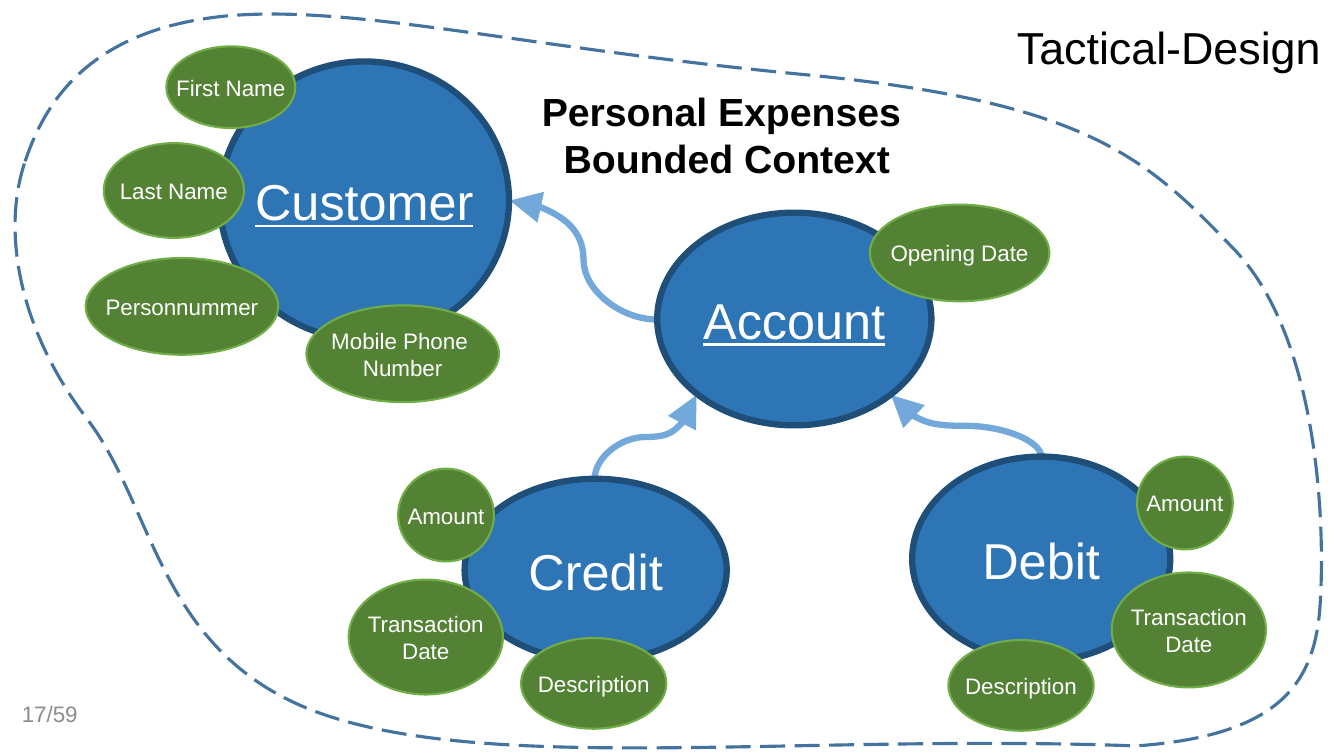
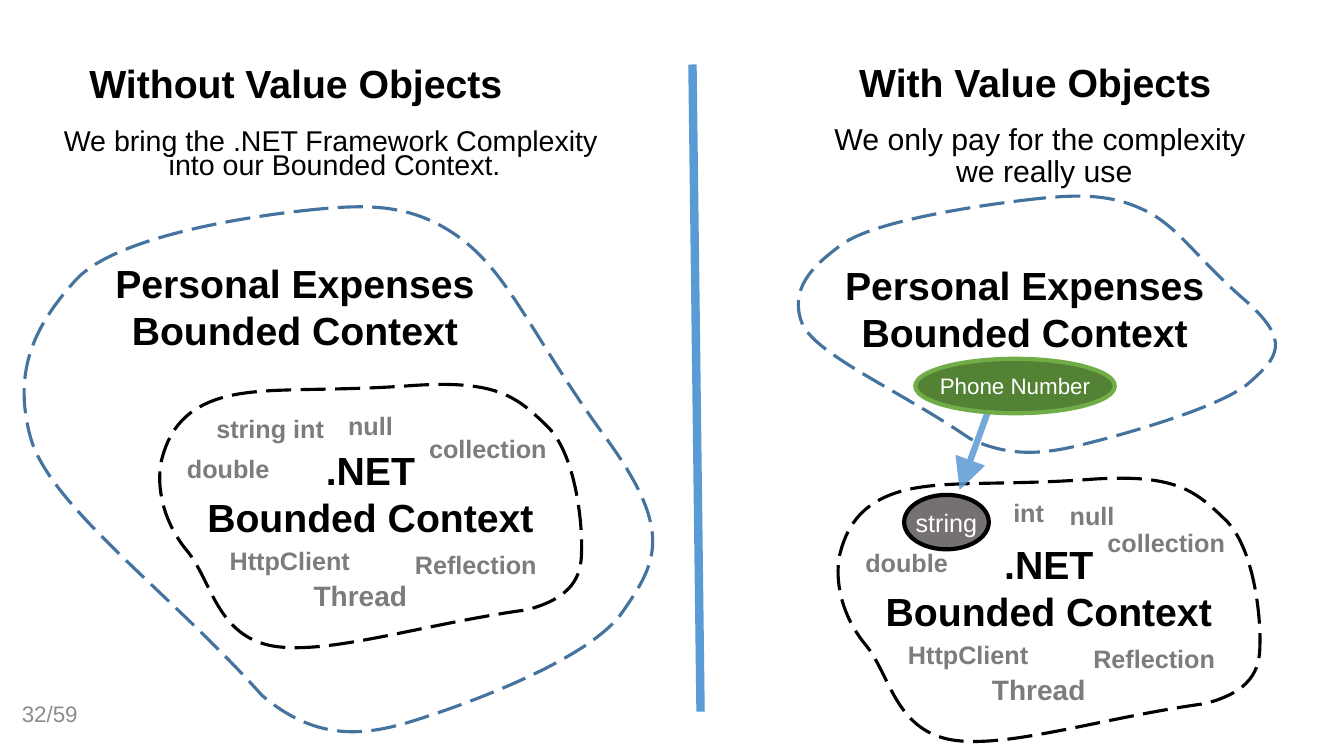
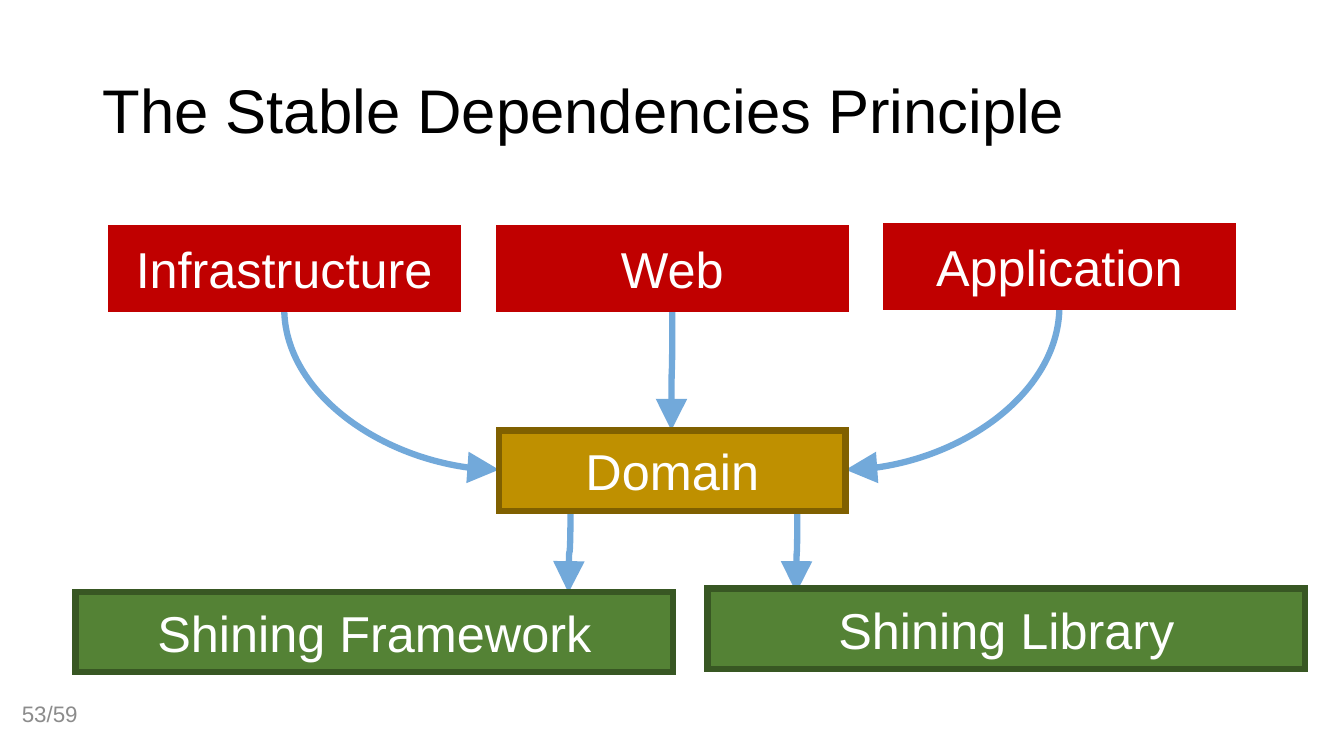
import lxml.etree
import pptx
import pptx.dml.color
import pptx.enum.dml
import pptx.enum.shapes
import pptx.enum.text
import pptx.oxml.ns
import pptx.util

PX = 9144  # EMU per px, 100 px to the inch
FONT = "Arial"
TOTAL = 59
COLORS = {
    "black": "000000", "white": "FFFFFF", "footer": "8C8C8C", "word": "7C7C7C",
    "arrow": "5B9BD5", "context": "43739E",
    "blue": "2E75B6", "blue_edge": "1F4E79",
    "green": "548235", "green_edge": "70AD47", "green_dark": "385723",
    "gray": "767171", "red": "C00000", "gold": "BF9000", "gold_edge": "806000",
}
SHAPE = pptx.enum.shapes.MSO_SHAPE
CONNECTOR = pptx.enum.shapes.MSO_CONNECTOR
ALIGN = pptx.enum.text.PP_ALIGN
ANCHOR = pptx.enum.text.MSO_ANCHOR
AUTO_SIZE = pptx.enum.text.MSO_AUTO_SIZE
qn = pptx.oxml.ns.qn

# Outlines: a start point, then three points for each Bezier curve
EXPENSES = [
    (25, 160), (47, 94), (95, 29), (223, 16), (351, 4), (516, 47), (798, 74),
    (1080, 101), (1138, 157), (1226, 249), (1313, 342), (1315, 541), (1309, 609),
    (1302, 678), (1269, 730), (1127, 740), (802, 728), (504, 766), (331, 712),
    (157, 658), (156, 506), (86, 415), (17, 324), (2, 227), (25, 160)]
EXPENSES_WIDE = [
    (301, 209), (365, 202), (410, 201), (459, 238), (507, 275), (530, 337), (600, 433),
    (670, 528), (651, 559), (617, 608), (582, 657), (451, 703), (404, 717),
    (356, 731), (311, 733), (260, 690), (167, 586), (48, 501), (30, 433),
    (12, 366), (36, 321), (75, 278), (113, 236), (237, 216), (301, 209)]
EXPENSES_SMALL = [
    (1013, 199), (1062, 193), (1097, 191), (1132, 207), (1168, 223), (1183, 252), (1233, 296),
    (1283, 339), (1267, 355), (1239, 380), (1210, 405), (1108, 433), (1070, 442),
    (1033, 451), (999, 453), (962, 435), (894, 388), (806, 351), (795, 319),
    (784, 287), (804, 265), (836, 242), (867, 220), (963, 205), (1013, 199)]
NET = [
    (160, 458), (166, 433), (179, 407), (219, 395), (259, 383), (313, 389), (403, 383),
    (492, 376), (512, 393), (542, 422), (572, 450), (578, 522), (577, 547),
    (577, 572), (568, 593), (523, 605), (420, 619), (327, 650), (271, 641),
    (215, 631), (210, 576), (186, 547), (162, 518), (155, 484), (160, 458)]


def px(n):
    return pptx.util.Emu(round(n * PX))


def rgb(name):
    return pptx.dml.color.RGBColor.from_string(COLORS[name])


def set_line(line, color, width):
    line.color.rgb = rgb(color)
    line.width = pptx.util.Pt(width)


def add_miter(line):
    lxml.etree.SubElement(line._get_or_add_ln(), qn("a:miter"), lim="800000")


def write(tf, text, size, color, align, bold=False, underline=False, spacing=None):
    """Write one paragraph, with a line break at each newline."""
    p = tf.paragraphs[0]
    p.alignment = align
    if spacing:
        p.line_spacing = spacing
    for i, part in enumerate(text.split("\n")):
        if i:
            p.add_line_break()
        r = p.add_run()
        r.text = part
        r.font.name = FONT
        r.font.size = pptx.util.Pt(size)
        r.font.bold = bold
        r.font.underline = underline
        r.font.color.rgb = rgb(color)


def text_box(slide, box, text, size, color="black", align=ALIGN.CENTER, bold=False,
             wrap=False, anchor=ANCHOR.TOP, spacing=None):
    tf = slide.shapes.add_textbox(*map(px, box)).text_frame
    tf.word_wrap = wrap
    tf.auto_size = AUTO_SIZE.NONE if wrap else AUTO_SIZE.SHAPE_TO_FIT_TEXT
    tf.vertical_anchor = anchor
    write(tf, text, size, color, align, bold, spacing=spacing)


def shape(slide, kind, box, text, size, fill, edge, width, underline=False):
    sp = slide.shapes.add_shape(kind, *map(px, box))
    sp.shadow.inherit = False
    sp.fill.solid()
    sp.fill.fore_color.rgb = rgb(fill)
    set_line(sp.line, edge, width)
    add_miter(sp.line)
    tf = sp.text_frame
    tf.word_wrap = False
    tf.vertical_anchor = ANCHOR.MIDDLE
    write(tf, text, size, "white", ALIGN.CENTER, underline=underline)


def entity(slide, box, text, underline=False):
    shape(slide, SHAPE.OVAL, box, text, 36, "blue", "blue_edge", 4.5, underline)


def attribute(slide, box, text, width=1.5):
    shape(slide, SHAPE.OVAL, box, text, 16, "green", "green_edge", width)


def block(slide, box, text, fill, edge):
    shape(slide, SHAPE.RECTANGLE, box, text, 36, fill, edge, 4.5)


def outline(slide, points, color, dx=0, dy=0):
    """Draw a dashed closed outline, turning each three segments into a Bezier curve."""
    pts = [(px(x + dx), px(y + dy)) for x, y in points]
    builder = slide.shapes.build_freeform(*pts[0])
    builder.add_line_segments(pts[1:], close=True)
    sp = builder.convert_to_shape()
    segments = list(sp._element.iter(qn("a:lnTo")))
    for i in range(0, len(segments), 3):
        curve = lxml.etree.Element(qn("a:cubicBezTo"))
        segments[i].addprevious(curve)
        for segment in segments[i:i + 3]:
            curve.append(segment[0])
            segment.getparent().remove(segment)
    sp.shadow.inherit = False
    sp.fill.background()
    set_line(sp.line, color, 2.25)
    sp.line.dash_style = pptx.enum.dml.MSO_LINE.LONG_DASH
    add_miter(sp.line)


def line(slide, start, end, width=4.5, kind=CONNECTOR.STRAIGHT):
    cx = slide.shapes.add_connector(kind, *map(px, (*start, *end)))
    set_line(cx.line, "arrow", width)
    add_miter(cx.line)
    lxml.etree.SubElement(cx._element.spPr, qn("a:effectLst"))
    return cx


def arrow(slide, start, end, kind=CONNECTOR.STRAIGHT):
    cx = line(slide, start, end, kind=kind)
    ln = cx.line._get_or_add_ln()
    lxml.etree.SubElement(next(ln.iter(qn("a:srgbClr"))), qn("a:alpha"), val="85000")
    lxml.etree.SubElement(ln, qn("a:tailEnd"), type="triangle", w="lg", len="lg")
    return cx


def curve_down_or_up(slide, start, end, preset="curvedConnector3"):
    """Draw a curved arrow that leaves its start vertically, by turning it."""
    (x1, y1), (x2, y2) = start, end
    w, h = abs(y2 - y1), abs(x2 - x1)
    left, top = (x1 + x2 - w) / 2, (y1 + y2 - h) / 2
    cx = arrow(slide, (left, top), (left + w, top + h), CONNECTOR.CURVE)
    spPr = cx._element.spPr
    spPr.find(qn("a:prstGeom")).set("prst", preset)
    xfrm = spPr.find(qn("a:xfrm"))
    down = y2 > y1
    xfrm.set("rot", str((90 if down else 270) * 60000))
    if down == (x2 > x1):
        xfrm.set("flipV", "1")


def new_slide(prs):
    return prs.slides.add_slide(prs.slide_layouts[6])


def page_number(slide, number):
    text_box(slide, (11, 688, 76, 40), f"{number}/{TOTAL}", 16, "footer", ALIGN.RIGHT,
             wrap=True, anchor=ANCHOR.MIDDLE)


def word(slide, x, y, w, text):
    text_box(slide, (x, y, w, 40), text, 18, "word", bold=True)


def net_context(slide, dx=0, dy=0):
    outline(slide, NET, "black", dx, dy)
    text_box(slide, (149 + dx, 438 + dy, 437, 104), ".NET\nBounded Context", 28,
             bold=True, wrap=True)
    text_box(slide, (139 + dx, 569 + dy, 437, 44), "Thread", 20, "word", bold=True, wrap=True)
    for x, y, w, text in [(401, 540, 142, "Reflection"), (175, 445, 103, "double"),
                          (415, 425, 138, "collection"), (217, 536, 141, "HttpClient")]:
        word(slide, x + dx, y + dy, w, text)


def tactical_design(prs):
    s = new_slide(prs)
    # Relations
    curve_down_or_up(s, (1033, 453), (884, 392))
    curve_down_or_up(s, (590, 475), (691, 392))
    arrow(s, (652, 317), (506, 199), CONNECTOR.CURVE)
    outline(s, EXPENSES, "context")
    # Entities
    entity(s, (218, 61, 287, 276), "Customer", True)
    entity(s, (652, 211, 272, 211), "Account", True)
    entity(s, (461, 475, 260, 181), "Credit")
    entity(s, (905, 453, 256, 203), "Debit")
    # Attributes
    for box, text in [((165, 46, 128, 81), "First Name"),
                      ((103, 142, 139, 94), "Last Name"),
                      ((85, 256, 191, 96), "Personnummer"),
                      ((304, 303, 191, 96), "Mobile Phone \nNumber"),
                      ((863, 203, 178, 96), "Opening Date")]:
        attribute(s, box, text)
    for amount, date, description in [((395, 465), (346, 575), (517, 633)),
                                      ((1128, 453), (1103, 568), (941, 635))]:
        attribute(s, (*amount, 95, 92), "Amount")
        attribute(s, (*date, 153, 114), "Transaction\nDate")
        attribute(s, (*description, 144, 90), "Description")
    # Headings
    text_box(s, (999, 15, 324, 64), "Tactical-Design", 32, align=ALIGN.LEFT)
    text_box(s, (525, 82, 392, 104), "Personal Expenses \nBounded Context", 28, bold=True)
    page_number(s, 17)


def value_objects(prs):
    s = new_slide(prs)
    # Contexts, with the arrow between the two on the right
    net_context(s, 673, 93)
    word(s, 995, 488, 51, "int")
    word(s, 1051, 491, 65, "null")
    arrow(s, (981, 406), (952, 486))
    outline(s, EXPENSES_WIDE, "context")
    net_context(s)
    word(s, 204, 405, 128, "string int")
    word(s, 335, 402, 65, "null")
    outline(s, EXPENSES_SMALL, "context")
    for x, y in [(102, 252), (826, 254)]:
        text_box(s, (x, y, 381, 104), "Personal Expenses\nBounded Context", 28, bold=True)
    # Value object and the type it wraps
    shape(s, SHAPE.OVAL, (897, 491, 84, 54), "string", 18, "gray", "black", 3)
    attribute(s, (908, 356, 198, 54), "Phone Number", 3)
    # Headings and divider
    line(s, (687, 64), (695, 706), width=6)
    text_box(s, (76, 54, 435, 57), "Without Value Objects", 28, bold=True)
    text_box(s, (840, 53, 374, 57), "With Value Objects", 28, bold=True)
    for x, text, size, spacing in [
            (34, "We bring the .NET Framework Complexity \ninto our Bounded Context.", 20.4, 0.7),
            (738, "We only pay for the complexity \nwe really use", 21.6, 0.9)]:
        text_box(s, (x, 126, 596, 59), text, size, wrap=True, anchor=ANCHOR.MIDDLE,
                 spacing=spacing)
    page_number(s, 32)


def stable_dependencies(prs):
    s = new_slide(prs)
    # Dependencies
    for start, end in [((791, 507), (790, 588)), ((566, 507), (564, 588)),
                       ((667, 306), (666, 427))]:
        curve_down_or_up(s, start, end)
    curve_down_or_up(s, (1051, 304), (839, 466), "curvedConnector2")
    curve_down_or_up(s, (282, 306), (495, 466), "curvedConnector2")
    # Title
    text_box(s, (92, 40, 1150, 145), "The Stable Dependencies Principle", 44,
             align=ALIGN.LEFT, wrap=True, anchor=ANCHOR.MIDDLE, spacing=0.9)
    # Layers
    for x, y, text in [(110, 226, "Infrastructure"), (495, 226, "Web"),
                       (879, 224, "Application")]:
        block(s, (x, y, 344, 80), text, "red", "red")
    block(s, (495, 427, 344, 80), "Domain", "gold", "gold_edge")
    for x, y, text in [(75, 587, "Shining Framework"), (702, 584, "Shining Library")]:
        block(s, (x, y, 593, 80), text, "green", "green_dark")
    page_number(s, 53)


def main():
    prs = pptx.Presentation()
    prs.slide_height = px(750)
    prs.slide_width = pptx.util.Emu(prs.slide_height * 16 // 9)
    tactical_design(prs)
    value_objects(prs)
    stable_dependencies(prs)
    prs.save("out.pptx")


if __name__ == "__main__":
    main()
